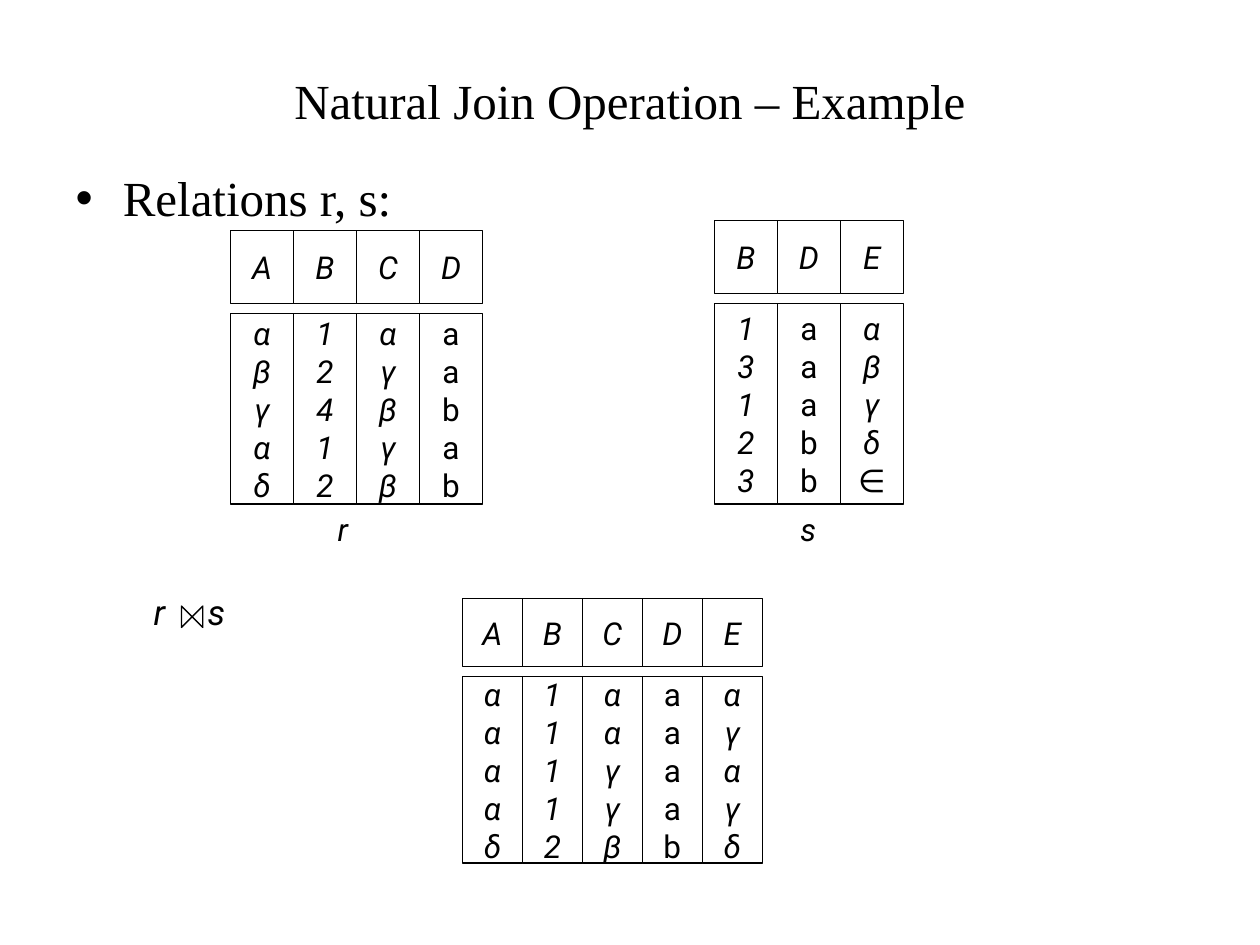
from pptx import Presentation
from pptx.dml.color import RGBColor
from pptx.enum.shapes import MSO_SHAPE
from pptx.enum.text import MSO_ANCHOR, MSO_AUTO_SIZE, PP_ALIGN
from pptx.util import Inches, Pt

RECT, BOWTIE = MSO_SHAPE.RECTANGLE, MSO_SHAPE.FLOWCHART_COLLATE
MIDDLE, CENTER, LEFT = MSO_ANCHOR.MIDDLE, PP_ALIGN.CENTER, PP_ALIGN.LEFT
NO_FIT = MSO_AUTO_SIZE.NONE
BLACK, WHITE = "000000", "FFFFFF"
SERIF, SANS = "Times New Roman", "Roboto"

R = {"A": "αβγαδ", "B": "12412", "C": "αγβγβ", "D": "aabab"}
S = {"B": "13123", "D": "aaabb", "E": "αβγδ∈"}
JOIN = {"A": "ααααδ", "B": "11112", "C": "ααγγβ", "D": "aaaab", "E": "αγαγδ"}


def color(code):
    """Turn a hex string into a colour."""
    return RGBColor.from_string(code)


def place(item, box):
    """Move and size an item to a box in inches."""
    item.left, item.top, item.width, item.height = map(Inches, box)


def style(para, face, size, align, slant=False):
    """Set the font and alignment of a paragraph."""
    para.alignment = align
    font = para.font
    font.name, font.size, font.italic = face, Pt(size), slant
    font.color.rgb = color(BLACK)


def write(frame, lines, slant=True):
    """Fill a frame with centred lines."""
    frame.word_wrap = False
    frame.vertical_anchor = MIDDLE
    frame.text = "\n".join(lines)
    for para in frame.paragraphs:
        style(para, SANS, 18, CENTER, slant)


def draw(slide, kind, box):
    """Add a white shape with a thin black outline."""
    shape = slide.shapes.add_shape(kind, *map(Inches, box))
    shape.shadow.inherit = False
    shape.fill.solid()
    shape.fill.fore_color.rgb = color(WHITE)
    shape.line.color.rgb = color(BLACK)
    shape.line.width = Pt(0.75)
    return shape


def relation(slide, box, data, head):
    """Draw a relation as header cells above column boxes."""
    left, top, width, height = box
    step = width / len(data)
    body = head + 0.08
    for num, (name, vals) in enumerate(data.items()):
        x = left + num * step
        cell = draw(slide, RECT, (x, top, step, head))
        write(cell.text_frame, [name])
        col = draw(slide, RECT, (x, top + body, step, height - body))
        write(col.text_frame, vals, not vals.startswith("a"))


def label(slide, box, text):
    """Name a relation below its columns."""
    note = slide.shapes.add_textbox(*map(Inches, box))
    write(note.text_frame, [text])


def heading(slide, title_box, list_box):
    """Fill the title and the bullet."""
    title, body = slide.placeholders
    for item, box, text, align in (
        (title, title_box, "Natural Join Operation – Example", CENTER),
        (body, list_box, "Relations r, s:", LEFT),
    ):
        place(item, box)
        frame = item.text_frame
        frame.auto_size = NO_FIT
        frame.text = text
        style(frame.paragraphs[0], SERIF, 28, align)
    title.text_frame.vertical_anchor = MIDDLE
    body.text_frame.paragraphs[0].line_spacing = 0.9


def formula(slide, box):
    """Write the join of r and s around a bowtie sign."""
    left, top = box[:2]
    note = slide.shapes.add_textbox(*map(Inches, box))
    frame = note.text_frame
    frame.word_wrap = True
    para = frame.paragraphs[0]
    para.text = "r\ts"
    style(para, SANS, 20, LEFT, True)
    props = para._p.get_or_add_pPr()
    props.set("marL", str(Inches(0.43)))
    props.set("indent", str(-Inches(0.43)))
    sign = draw(slide, BOWTIE, (left + 0.32, top + 0.17, 0.17, 0.17))
    sign.rotation = 270


def main():
    """Build and save the slide."""
    deck = Presentation()
    deck.slide_width, deck.slide_height = Inches(10), Inches(7.5)
    slide = deck.slides.add_slide(deck.slide_layouts[1])
    heading(slide, (0.75, 0.17, 8.5, 1.25), (0.5, 1.33, 7.69, 0.45))
    relation(slide, (1.83, 1.83, 2, 2.17), R, 0.58)
    relation(slide, (5.67, 1.75, 1.5, 2.25), S, 0.58)
    label(slide, (2.58, 4, 0.28, 0.4), "r")
    label(slide, (6.25, 4, 0.33, 0.4), "s")
    relation(slide, (3.67, 4.75, 2.38, 2.1), JOIN, 0.54)
    formula(slide, (1.12, 4.64, 7.69, 0.45))
    deck.save("out.pptx")


if __name__ == "__main__":
    main()
